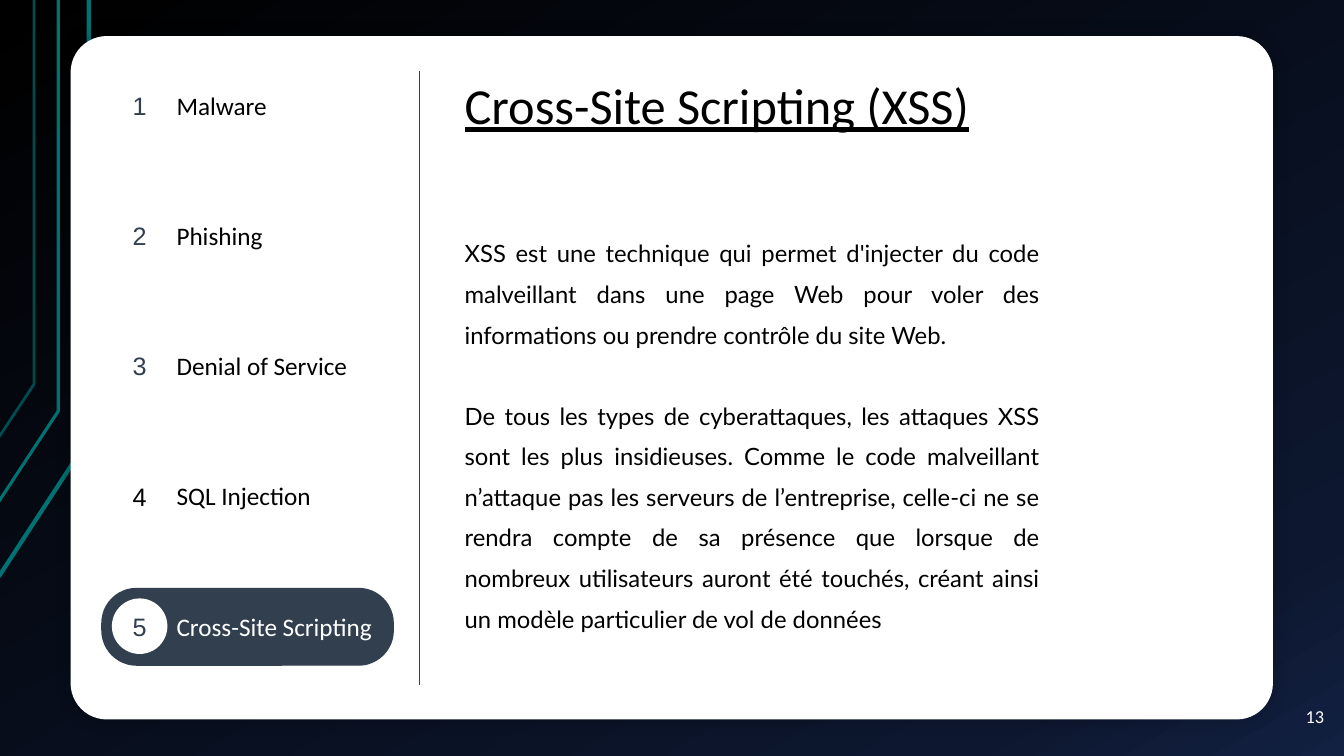
from copy import deepcopy

from lxml.etree import SubElement
from pptx import Presentation
from pptx.dml.color import RGBColor
from pptx.enum.shapes import MSO_CONNECTOR, MSO_SHAPE
from pptx.enum.text import MSO_ANCHOR, PP_ALIGN
from pptx.oxml import parse_xml
from pptx.oxml.ns import nsdecls, qn
from pptx.util import Cm, Pt

BLACK = RGBColor(0x00, 0x00, 0x00)
WHITE = RGBColor(0xFF, 0xFF, 0xFF)
SLATE = RGBColor(0x32, 0x3F, 0x4F)
TEAL = RGBColor(0x00, 0x72, 0x72)
DARK_TEAL = RGBColor(0x00, 0x4C, 0x4C)
NAVY = RGBColor(0x0D, 0x17, 0x2F)
BLUE = RGBColor(0x12, 0x20, 0x41)

prs = Presentation()
prs.slide_width = Cm(33.87)
prs.slide_height = Cm(19.05)
s = prs.slides.add_slide(prs.slide_layouts[6])


def add_shape(kind, left, top, width, height, color):
    sp = s.shapes.add_shape(kind, Cm(left), Cm(top), Cm(width), Cm(height))
    sp.shadow.inherit = False
    sp.fill.solid()
    sp.fill.fore_color.rgb = color
    sp.line.fill.background()
    return sp


def add_run(p, text, size, font, color):
    r = p.add_run()
    r.text = text
    r.font.size = Pt(size)
    r.font.name = font
    r.font.color.rgb = color
    return r


fill = s.background.fill
fill.gradient()
fill.gradient_angle = 300
gs_list = s.background._cSld.find(".//" + qn("a:gsLst"))
gs_list.append(deepcopy(gs_list[-1]))
for stop, position, color in zip(fill.gradient_stops, (0, 0.85, 1), (BLACK, NAVY, BLUE)):
    stop.position = position
    stop.color.rgb = color

circuit_lines = [
    ([(-0.03, 14.53), (2.24, 11.05), (2.24, 0)], TEAL, 3),
    ([(-0.05, 12.67), (1.47, 10.36), (1.47, 0)], TEAL, 2.25),
    ([(-0.03, 11.02), (0.86, 9.68), (0.86, 0)], DARK_TEAL, 2),
]
for points, color, width in circuit_lines:
    start, *rest = [(Cm(x), Cm(y)) for x, y in points]
    builder = s.shapes.build_freeform(*start)
    builder.add_line_segments(rest, close=False)
    sp = builder.convert_to_shape()
    sp.shadow.inherit = False
    sp.fill.background()
    sp.line.color.rgb = color
    sp.line.width = Pt(width)

card = add_shape(MSO_SHAPE.ROUNDED_RECTANGLE, 1.78, 0.91, 30.3, 17.22, WHITE)
card.adjustments[0] = 0.053
card._element.spPr.find(qn("a:effectLst")).append(parse_xml(
    f'<a:outerShdw {nsdecls("a")} blurRad="{Pt(11)}" dist="0" dir="0">'
    '<a:srgbClr val="000000"><a:alpha val="25000"/></a:srgbClr></a:outerShdw>'))

highlight = add_shape(MSO_SHAPE.ROUNDED_RECTANGLE, 2.57, 14.83, 7.34, 1.93, SLATE)
highlight.adjustments[0] = 0.453
highlight.line.color.rgb = SLATE
highlight.line.width = Pt(1)

divider = s.shapes.add_connector(MSO_CONNECTOR.STRAIGHT, Cm(10.57), Cm(1.8), Cm(10.57), Cm(17.25))
divider.line.color.rgb = SLATE
divider.line.width = Pt(1)
SubElement(divider._element.spPr, qn("a:effectLst"))

menu = [
    ("Malware", BLACK, SLATE),
    ("Phishing", BLACK, SLATE),
    ("Denial of Service", BLACK, SLATE),
    ("SQL Injection", BLACK, BLACK),
    ("Cross-Site Scripting", WHITE, SLATE),
]
for i, (label, label_color, number_color) in enumerate(menu):
    top = 1.96 + 3.28 * i
    tb = s.shapes.add_textbox(Cm(4.2), Cm(top + 0.19), Cm(5.5), Cm(1.02))
    add_run(tb.text_frame.paragraphs[0], label, 18, "Calibri", label_color)

    badge = add_shape(MSO_SHAPE.OVAL, 2.82, top, 1.4, 1.4, WHITE)
    tf = badge.text_frame
    tf.vertical_anchor = MSO_ANCHOR.MIDDLE
    p = tf.paragraphs[0]
    p.alignment = PP_ALIGN.CENTER
    add_run(p, str(i + 1), 18, "Arial", number_color)

title = s.shapes.add_textbox(Cm(11.46), Cm(1.75), Cm(13.9), Cm(1.8))
r = add_run(title.text_frame.paragraphs[0], "Cross-Site Scripting (XSS)", 36, "Calibri", BLACK)
r.font.underline = True

body = s.shapes.add_textbox(Cm(11.46), Cm(5.6), Cm(14.99), Cm(11))
tf = body.text_frame
tf.word_wrap = True
paragraphs = [
    "XSS est une technique qui permet d'injecter du code malveillant dans une page Web "
    "pour voler des informations ou prendre contrôle du site Web.",
    "De tous les types de cyberattaques, les attaques XSS sont les plus insidieuses. "
    "Comme le code malveillant n’attaque pas les serveurs de l’entreprise, celle-ci ne se "
    "rendra compte de sa présence que lorsque de nombreux utilisateurs auront été touchés, "
    "créant ainsi un modèle particulier de vol de données",
]
for i, text in enumerate(paragraphs):
    p = tf.paragraphs[0] if i == 0 else tf.add_paragraph()
    p.alignment = PP_ALIGN.JUSTIFY
    p.line_spacing = 1.42
    if i:
        p.space_before = Pt(29)
    add_run(p, text, 17, "Lato", BLACK)

page = s.shapes.add_textbox(Cm(31.67), Cm(17.6), Cm(2.03), Cm(1.45))
tf = page.text_frame
tf.margin_left = tf.margin_right = Cm(0.33)
tf.margin_top = tf.margin_bottom = Cm(0.18)
p = tf.paragraphs[0]
p.alignment = PP_ALIGN.RIGHT
add_run(p, "13", 13, "Calibri", WHITE)

prs.save("out.pptx")
